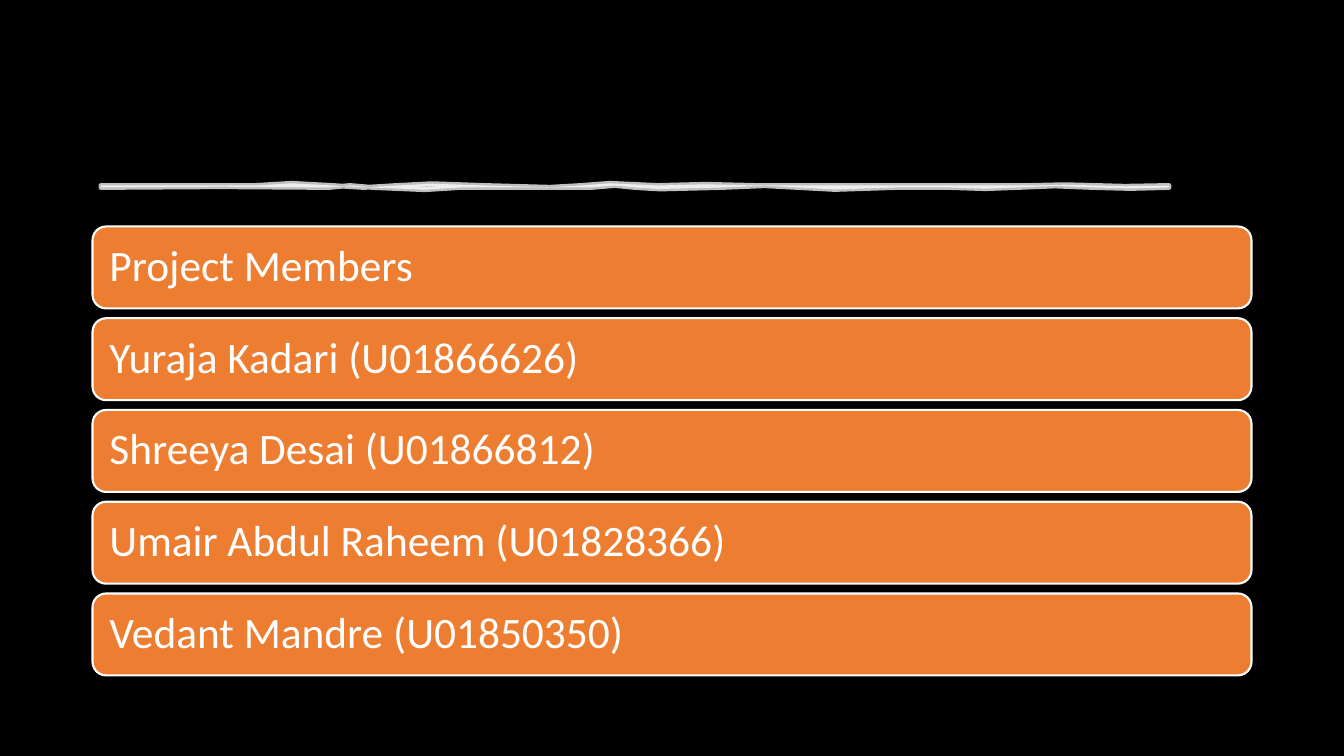
from lxml.etree import SubElement
from pptx import Presentation
from pptx.dml.color import RGBColor
from pptx.enum.shapes import MSO_SHAPE
from pptx.enum.text import MSO_ANCHOR, PP_ALIGN
from pptx.oxml.ns import qn
from pptx.util import Pt

PX = 914400 / 100.8
WIDTH, HEIGHT = 1344, 756
MEMBERS = [
    "Project Members",
    "Yuraja Kadari (U01866626)",
    "Shreeya Desai (U01866812)",
    "Umair Abdul Raheem (U01828366)",
    "Vedant Mandre (U01850350)",
]
# Wobble of the brush stroke: x in px, offset from the edge in tenths of a px
STROKE_TOP = [
    (101, 0), (255, 0), (292, -22), (332, 0), (364, 20), (397, 0),
    (432, -18), (484, 0), (550, 18), (581, 0), (610, -22), (658, 0),
    (705, -12), (756, 0), (1029, 0), (1065, -8), (1125, 8), (1169, 0),
]
STROKE_BOTTOM = [
    (1169, 0), (1130, 10), (1093, 0), (1055, -15), (1017, 0), (985, 12),
    (950, 0), (896, 0), (835, 20), (798, 0), (765, -18), (722, 0),
    (660, 15), (635, 0), (615, -20), (591, 0), (460, 0), (425, 22),
    (373, 0), (350, -20), (329, 0), (220, -8), (101, 0),
]


def px(n):
    return round(n * PX)


def rgb(color):
    return RGBColor.from_string(color)


def edge(knots, y):
    """Points of one stroke edge around height y, all in tenths of a px."""
    return [(10 * x, y + offset) for x, offset in knots]


class Deck:
    font, size = "Calibri", 31
    white, orange, black = "FFFFFF", "ED7D31", "000000"

    def __init__(self, width, height):
        self.prs = Presentation()
        self.prs.slide_width, self.prs.slide_height = px(width), px(height)

    def add_slide(self):
        self.s = self.prs.slides.add_slide(self.prs.slide_layouts[6])
        fill = self.s.background.fill
        fill.solid()
        fill.fore_color.rgb = rgb(self.black)

    def paint(self, sp, fill, line, width):
        sp.shadow.inherit = False
        sp.fill.solid()
        sp.fill.fore_color.rgb = rgb(fill)
        sp.line.color.rgb = rgb(line)
        sp.line.width = Pt(width)

    def brush_stroke(self, points, alpha):
        builder = self.s.shapes.build_freeform(*points[0], scale=PX / 10)
        builder.add_line_segments(points[1:], close=True)
        sp = builder.convert_to_shape()
        self.paint(sp, self.white, self.white, 3.5)
        for clr in sp._element.spPr.iter(qn("a:srgbClr")):
            SubElement(clr, qn("a:alpha")).set("val", str(alpha * 1000))

    def bar(self, text, left, top, width, height):
        sp = self.s.shapes.add_shape(
            MSO_SHAPE.ROUNDED_RECTANGLE, px(left), px(top), px(width), px(height))
        self.paint(sp, self.orange, self.white, 1.5)
        tf = sp.text_frame
        tf.word_wrap = True
        tf.vertical_anchor = MSO_ANCHOR.MIDDLE
        tf.margin_left = tf.margin_right = tf.margin_top = tf.margin_bottom = px(13)
        p = tf.paragraphs[0]
        p.text = text
        p.alignment = PP_ALIGN.LEFT
        p.line_spacing = 0.9
        p.font.name, p.font.size = self.font, Pt(self.size)
        p.font.color.rgb = rgb(self.white)


def main():
    deck = Deck(WIDTH, HEIGHT)
    deck.add_slide()
    deck.brush_stroke(edge(STROKE_TOP, 1855) + edge(STROKE_BOTTOM, 1875), alpha=75)

    bar_width, bar_height, pitch, middle = 1159, 82, 91.75, 451
    left = (WIDTH - bar_width) / 2
    first_top = middle - (pitch * (len(MEMBERS) - 1) + bar_height) / 2
    for i, member in enumerate(MEMBERS):
        deck.bar(member, left, first_top + i * pitch, bar_width, bar_height)
    deck.prs.save("out.pptx")


if __name__ == "__main__":
    main()
